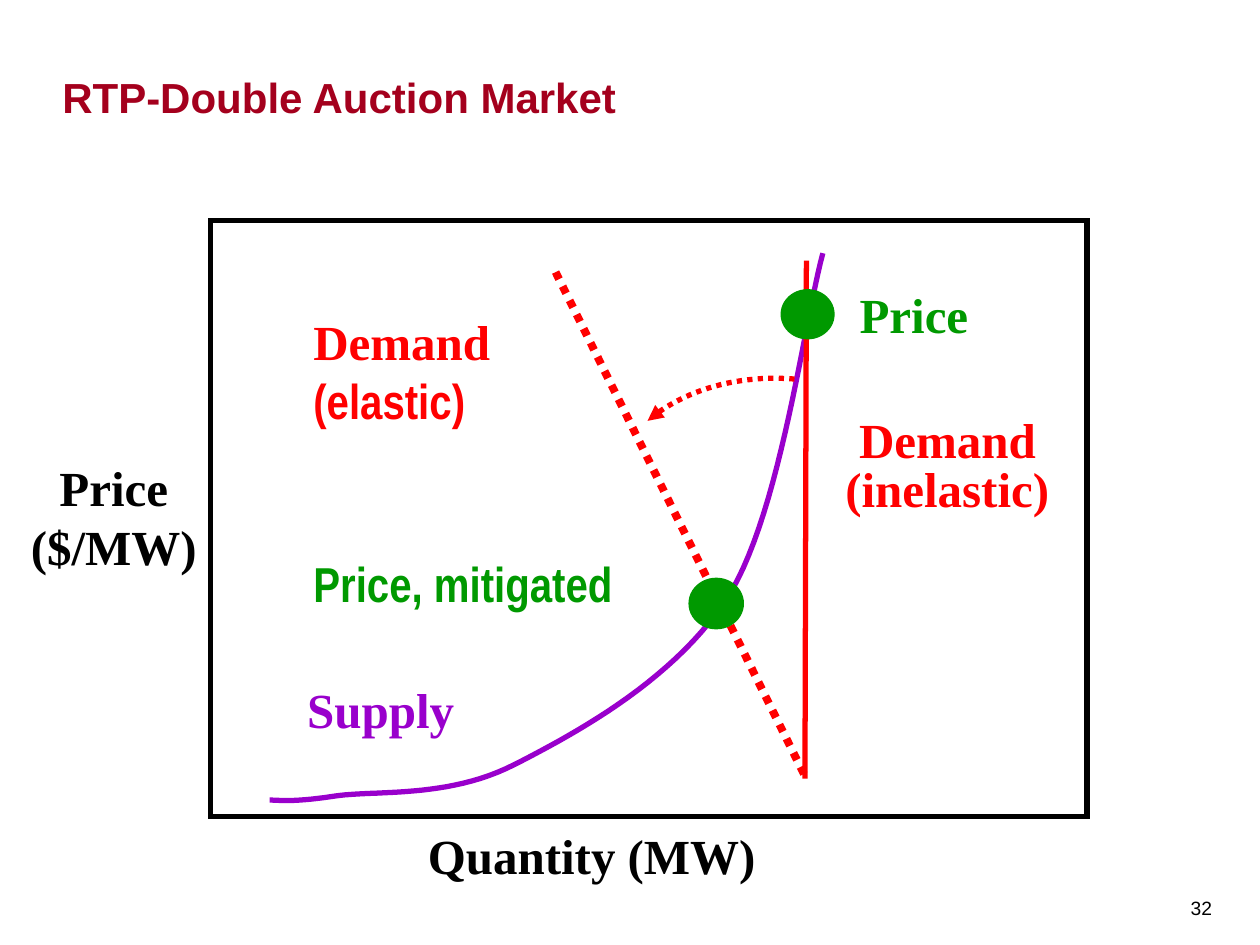
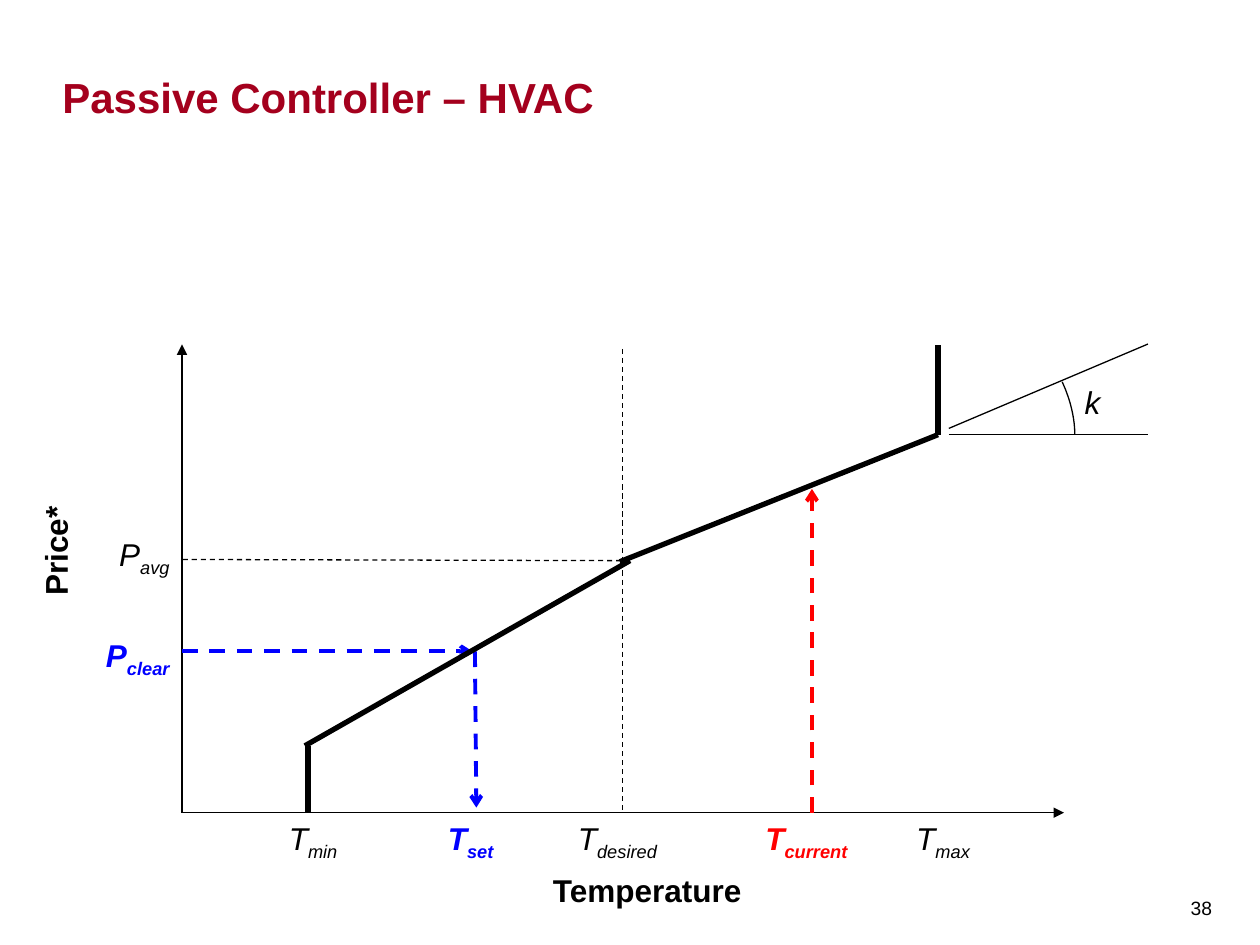
import dataclasses

import pptx
import pptx.dml.color
import pptx.enum.dml
import pptx.enum.shapes
import pptx.enum.text
import pptx.oxml
import pptx.oxml.ns
import pptx.util

Pt = pptx.util.Pt
ALIGN = pptx.enum.text.PP_ALIGN
ANCHOR = pptx.enum.text.MSO_ANCHOR
FIT = pptx.enum.text.MSO_AUTO_SIZE
DASH = pptx.enum.dml.MSO_LINE.DASH
DOT = pptx.enum.dml.MSO_LINE.ROUND_DOT
SHAPE = pptx.enum.shapes.MSO_SHAPE


# Theme: colours, fonts and type sizes
@dataclasses.dataclass(frozen=True)
class Theme:
    title: str = "A4001D"
    black: str = "000000"
    red: str = "FF0000"
    green: str = "009900"
    purple: str = "9900CC"
    blue: str = "0000FF"
    sans: str = "Arial"
    narrow: str = "Arial Narrow"
    serif: str = "Times New Roman"
    title_size: int = 24
    market_size: int = 28
    axis_size: int = 18
    number_size: int = 11
    thin: float = 0.75
    medium: float = 2.25
    thick: float = 3
    heavy: float = 4.5


T = Theme()


@dataclasses.dataclass(frozen=True)
class Style:
    font: str
    size: int
    color: str = T.black
    bold: bool = False
    italic: bool = False


def rgb(color):
    return pptx.dml.color.RGBColor.from_string(color)


def drawing_element(tag, attributes=""):
    return pptx.oxml.parse_xml(
        f'<{tag} {pptx.oxml.ns.nsdecls("a")} {attributes}/>')


# Text
def add_run(p, text, style, subscript=False):
    r = p.add_run()
    r.text = text
    f = r.font
    f.name, f.size = style.font, Pt(style.size)
    f.bold, f.italic = style.bold, style.italic
    f.color.rgb = rgb(style.color)
    if subscript:
        r._r.get_or_add_rPr().set("baseline", "-25000")


def add_label(s, box, style, text, align=ALIGN.LEFT, sub=None):
    """Add a one-line label, with an optional subscript, and return its shape."""
    sp = s.shapes.add_textbox(*map(Pt, box))
    tf = sp.text_frame
    tf.word_wrap = sub is not None
    tf.auto_size = FIT.SHAPE_TO_FIT_TEXT
    p = tf.paragraphs[0]
    p.alignment = align
    add_run(p, text, style)
    if sub:
        add_run(p, sub, style, subscript=True)
    return sp


def add_page(prs, title, number):
    """Add a slide with the shared title and page number."""
    s = prs.slides.add_slide(prs.slide_layouts[5])
    sp = s.shapes.title
    sp.left, sp.top, sp.width, sp.height = map(Pt, (35.6, 10.4, 638, 59))
    tf = sp.text_frame
    tf.auto_size = FIT.NONE
    tf.vertical_anchor = ANCHOR.BOTTOM
    tf.margin_left = tf.margin_right = tf.margin_top = tf.margin_bottom = 0
    p = tf.paragraphs[0]
    p.alignment = ALIGN.LEFT
    add_run(p, title, Style(T.sans, T.title_size, T.title, bold=True))

    sp = s.shapes.add_textbox(*map(Pt, (674.6, 497.8, 25.2, 42)))
    tf = sp.text_frame
    tf.word_wrap = False
    tf.vertical_anchor = ANCHOR.MIDDLE
    tf.margin_left = tf.margin_right = Pt(5.76)
    add_run(tf.paragraphs[0], number, Style(T.sans, T.number_size))
    return s


# Lines and shapes
def format_line(sp, color, width, dash=None, head=None, tail=None):
    """Format an outline and return its XML element."""
    sp.line.color.rgb = rgb(color)
    sp.line.width = Pt(width)
    if dash is not None:
        sp.line.dash_style = dash
    ln = sp.line._get_or_add_ln()
    for end, kind in (("a:headEnd", head), ("a:tailEnd", tail)):
        if kind:
            ln.append(drawing_element(end, f'type="{kind}"'))
    return ln


def add_line(s, start, end, color=T.black, width=T.thin, **options):
    sp = s.shapes.add_connector(
        pptx.enum.shapes.MSO_CONNECTOR.STRAIGHT, *map(Pt, start + end))
    format_line(sp, color, width, **options)
    sp._element.spPr.append(drawing_element("a:effectLst"))


def bezier(p0, p1, p2, p3, steps=24):
    """Return points along a cubic curve, without its start."""
    points = []
    for i in range(1, steps + 1):
        t = i / steps
        u = 1 - t
        points.append(tuple(
            u**3 * a + 3 * u**2 * t * b + 3 * u * t**2 * c + t**3 * d
            for a, b, c, d in zip(p0, p1, p2, p3)))
    return points


def add_curve(s, start, segments, color=T.black, width=T.thin, **options):
    points = [start]
    for segment in segments:
        points += bezier(points[-1], *segment)
    points = [(Pt(x), Pt(y)) for x, y in points]
    fb = s.shapes.build_freeform(*points[0])
    fb.add_line_segments(points[1:], close=False)
    sp = fb.convert_to_shape()
    sp.shadow.inherit = False
    sp.fill.background()
    format_line(sp, color, width, **options)


def add_outline(s, kind, box, color, width, filled=False):
    sp = s.shapes.add_shape(kind, *map(Pt, box))
    sp.shadow.inherit = False
    if filled:
        sp.fill.solid()
        sp.fill.fore_color.rgb = rgb(color)
    else:
        sp.fill.background()
    ln = format_line(sp, color, width)
    ln.append(drawing_element("a:miter", 'lim="800000"'))


# Slide: supply and demand curves
def build_market(prs):
    s = add_page(prs, "RTP-Double Auction Market", "32")

    def serif(color):
        return Style(T.serif, T.market_size, color, bold=True)

    def narrow(color):
        return Style(T.narrow, T.market_size, color, bold=True)

    # Supply, the swing of demand, and both demand lines
    add_curve(s, (154, 457.2), [
        ((159.8, 457.2), (167, 458.6), (190.8, 455)),
        ((213.8, 451.4), (255.6, 456.5), (293.8, 437)),
        ((331.9, 417.6), (388, 386.6), (417.6, 338.4)),
        ((446.4, 289.4), (459.4, 185), (470.2, 144.7)),
    ], T.purple, T.thick)
    add_curve(s, (370, 240.5), [((391, 222.5), (422.6, 213.8), (455, 216.7))],
              T.red, T.thick, dash=DOT, head="triangle")
    add_line(s, (317.5, 155.5), (460, 443.5), T.red, T.heavy, dash=DOT)
    add_line(s, (460.8, 149), (460, 445), T.red, T.thick)

    # Clearing points and frame
    for box in ((446.4, 165.6, 30.2, 28), (393.8, 330.5, 31, 28.8)):
        add_outline(s, SHAPE.OVAL, box, T.green, T.thin, filled=True)
    add_outline(s, SHAPE.RECTANGLE, (120.2, 126, 501, 340.6), T.black, T.thick)

    # Curve labels
    elastic = add_label(s, (172, 174.6, 116.6, 74.9), serif(T.red), "Demand")
    add_run(elastic.text_frame.add_paragraph(), "(elastic)", narrow(T.red))
    for box, text in (((483.8, 234.4, 116.6, 37.4), "Demand"),
                      ((476, 262, 132.5, 37.4), "(inelastic)")):
        tf = add_label(s, box, serif(T.red), text).text_frame
        tf.vertical_anchor = ANCHOR.BOTTOM
        tf.paragraphs[0].line_spacing = 0.9
    for box, style, text in (
            ((167.8, 384.5, 99.4, 41), serif(T.purple), "Supply"),
            ((483.8, 159, 77, 41), serif(T.green), "Price"),
            ((172, 312.5, 185, 41), narrow(T.green), "Price, mitigated")):
        add_label(s, box, style, text, ALIGN.CENTER)

    # Axis titles
    add_label(s, (230.8, 468, 208, 41), serif(T.black), "Quantity (MW)",
              ALIGN.RIGHT)
    price = add_label(s, (10, 257.8, 110, 74.9), serif(T.black), "Price",
                      ALIGN.CENTER)
    p = price.text_frame.paragraphs[0]
    p.add_line_break()
    add_run(p, "($/MW)", serif(T.black))


# Slide: bid curve of the thermostat
def build_controller(prs):
    s = add_page(prs, "Passive Controller – HVAC", "38")
    left, base, top = 104, 464.4, 196.8
    x_min, x_desired, x_current, x_max = 176, 355.7, 464, 536
    y_low, y_avg, y_clear, y_high = 426.2, 320.4, 372.2, 248.4
    plain = Style(T.sans, T.axis_size, italic=True)
    heading = Style(T.sans, T.axis_size, bold=True)
    blue = dataclasses.replace(plain, color=T.blue, bold=True)
    red = dataclasses.replace(blue, color=T.red)

    # Axes
    add_line(s, (left, base), (left + 504, base), tail="triangle")
    add_line(s, (left, base), (left, top), tail="triangle")

    # Average price and desired temperature
    add_line(s, (x_desired, 326), (x_desired, base), dash=DASH)
    add_line(s, (x_desired, 199.4), (x_desired, 321), dash=DASH)
    add_line(s, (355, y_avg), (left, 319.7), dash=DASH)

    # Current temperature, clearing price and set point
    add_line(s, (x_current, base), (x_current, 279.4), T.red, T.medium,
             dash=DASH, tail="arrow")
    add_line(s, (left, y_clear), (270, y_clear), T.blue, T.medium,
             dash=DASH, tail="arrow")
    add_line(s, (271.4, y_clear), (272.2, 461.5), T.blue, T.medium,
             dash=DASH, tail="arrow")

    # Bid curve
    for start, end in (((x_min, base), (x_min, y_low)),
                       ((174.2, y_low), (360, y_avg)),
                       ((354.2, 321), (x_max, y_high)),
                       ((x_max, y_high), (x_max, 197.3))):
        add_line(s, start, end, width=T.thick)

    # Slope angle
    add_line(s, (542.2, 244.8), (656, 196.6))
    add_line(s, (542.2, y_high), (656, y_high))
    add_curve(s, (607, 218.2), [((611.3, 227.5), (614.2, 238.3), (614.2, y_high))])
    add_label(s, (612.7, 215.3, 23.8, 28.8), plain, "k")

    # Axis values
    width, height = 77.8, 28.8
    for center, sub, style in ((178.9, "min", plain), (268.9, "set", blue),
                               (352.8, "desired", plain),
                               (460.8, "current", red), (538.9, "max", plain)):
        add_label(s, (center - width / 2, base, width, height), style, "T",
                  ALIGN.CENTER, sub)
    for y, sub, style in ((302.4, "avg", plain), (360, "clear", blue)):
        add_label(s, (left - width, y, width, height), style, "P",
                  ALIGN.RIGHT, sub)

    # Axis titles; the rotated one has no side margins, so it stays on one line
    add_label(s, (308.9, 494, 123.8, height), heading, "Temperature")
    price = add_label(s, (0, 300.6, 63.4, height), heading, "Price*",
                      ALIGN.CENTER)
    price.text_frame.margin_left = price.text_frame.margin_right = 0
    price.rotation = 270


def main():
    prs = pptx.Presentation()
    prs.slide_width, prs.slide_height = Pt(720), Pt(540)
    build_market(prs)
    build_controller(prs)
    prs.save("out.pptx")


if __name__ == "__main__":
    main()
